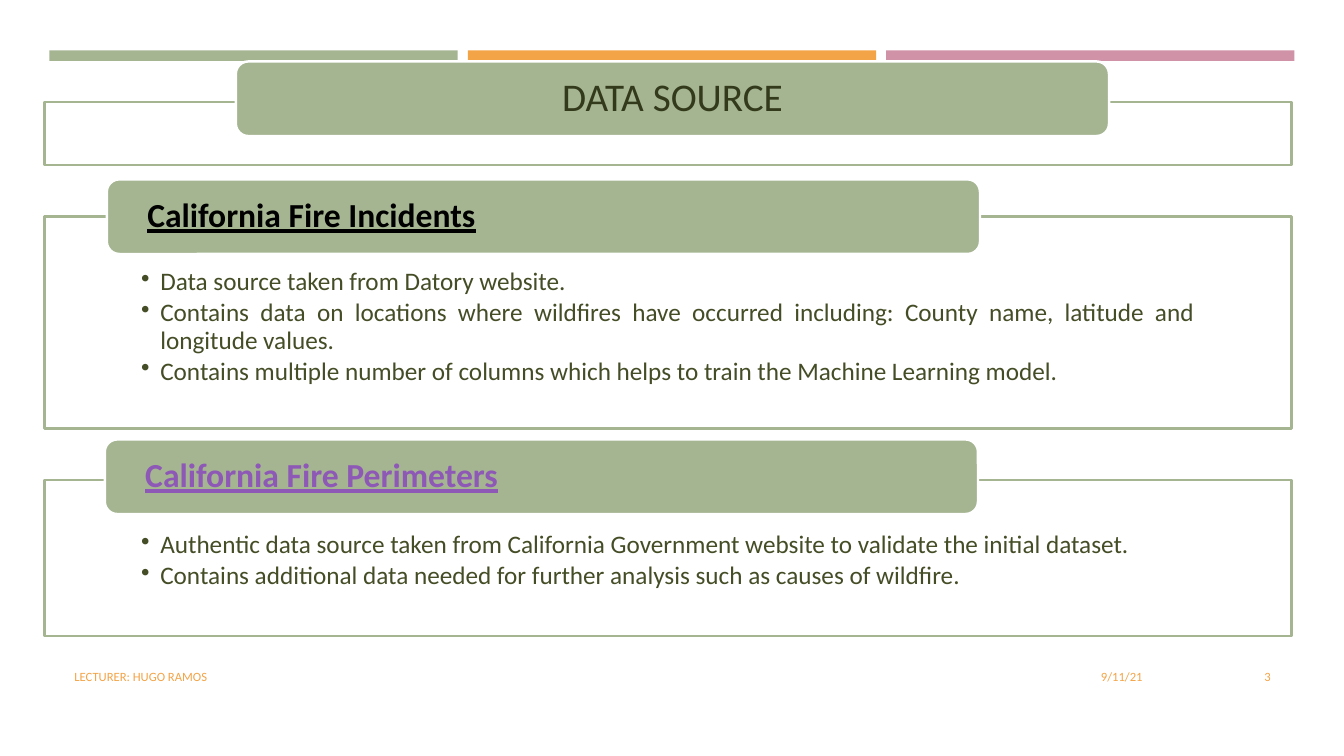
import pptx
import pptx.dml.color
import pptx.enum.shapes
import pptx.enum.text
import pptx.util
from lxml import etree

SHAPE = pptx.enum.shapes.MSO_SHAPE
ALIGN = pptx.enum.text.PP_ALIGN
ANCHOR = pptx.enum.text.MSO_ANCHOR
WIDE = pptx.util.Inches(13.33)
HIGH = pptx.util.Inches(7.5)
GREEN, ORANGE, PINK, WHITE = "A5B592", "F3A447", "D092A7", "FFFFFF"
DARK, OLIVE, BLACK, PURPLE = "333A1C", "444D26", "000000", "8E58B6"


def across(share):
    """Percent of the slide's width."""
    return int(WIDE * share / 100)


def down(share):
    """Percent of the slide's height."""
    return int(HIGH * share / 100)


def area(x, y, w, h):
    return across(x), down(y), across(w), down(h)


def color(code):
    return pptx.dml.color.RGBColor.from_string(code)


def add_box(slide, kind, place, fill, line=None):
    box = slide.shapes.add_shape(kind, *area(*place))
    box.shadow.inherit = False
    box.fill.solid()
    box.fill.fore_color.rgb = color(fill)
    if line:
        box.line.color.rgb = color(line)
        box.line.width = pptx.util.Pt(1.75)
    else:
        box.line.fill.background()
    return box


def style(para, size, ink, align, bold=False):
    para.alignment = align
    for run in para.runs:
        font = run.font
        font.name = "Calibri"
        font.size = pptx.util.Pt(size)
        font.color.rgb = color(ink)
        font.bold = font.underline = bold


def add_bullet(para):
    props = para._p.get_or_add_pPr()
    indent = across(1.43)
    props.set("marL", str(indent))
    props.set("indent", str(-indent))
    tag = "{http://schemas.openxmlformats.org/drawingml/2006/main}buChar"
    etree.SubElement(props, tag).set("char", "•")


def add_frame(slide, y, h, points=()):
    """Outlined panel with its bullet points."""
    box = add_box(slide, SHAPE.RECTANGLE, (3.3, y, 92.8, h), WHITE, GREEN)
    frame = box.text_frame
    frame.word_wrap = True
    frame.vertical_anchor = ANCHOR.TOP
    frame.margin_left = frame.margin_right = across(7.2)
    frame.margin_top, frame.margin_bottom = down(6.93), down(1.87)
    if not points:
        return
    frame.text = "\n".join(points)
    for para in frame.paragraphs:
        para.line_spacing = 0.9
        para.space_after = pptx.util.Pt(2.7)
        style(para, 18, OLIVE, ALIGN.JUSTIFY)
        add_bullet(para)


def add_tab(slide, x, y, text, size, ink, align, bold):
    """Rounded heading on the top edge of a panel."""
    place = (x, y, 64.97, 9.87)
    box = add_box(slide, SHAPE.ROUNDED_RECTANGLE, place, GREEN, WHITE)
    frame = box.text_frame
    frame.word_wrap = True
    frame.vertical_anchor = ANCHOR.MIDDLE
    frame.margin_left = frame.margin_right = across(2.74)
    frame.margin_top = frame.margin_bottom = 0
    frame.text = text
    para = frame.paragraphs[0]
    para.line_spacing = 0.9
    style(para, size, ink, align, bold)


def add_note(slide, x, w, text, align):
    """Small text in the footer row."""
    box = slide.shapes.add_textbox(*area(x, 86.8, w, 5.33))
    frame = box.text_frame
    frame.word_wrap = True
    frame.vertical_anchor = ANCHOR.MIDDLE
    frame.text = text
    style(frame.paragraphs[0], 9, ORANGE, align)


def main():
    deck = pptx.Presentation()
    deck.slide_width, deck.slide_height = WIDE, HIGH
    slide = deck.slides.add_slide(deck.slide_layouts[6])

    for i, fill in enumerate((GREEN, ORANGE, PINK)):
        place = (3.68 + 31.13 * i, 6.67, 30.38, 1.4)
        add_box(slide, SHAPE.RECTANGLE, place, fill)

    add_frame(slide, 13.47, 8.4)
    add_tab(slide, 17.55, 8.13, "DATA SOURCE", 28, DARK, ALIGN.CENTER, False)

    add_frame(slide, 28.67, 28, (
        "Data source taken from Datory website.",
        "Contains data on locations where wildfires have occurred "
        "including: County name, latitude and longitude values.",
        "Contains multiple number of columns which helps to train "
        "the Machine Learning model.",
    ))
    add_tab(slide, 7.95, 23.73, "California Fire Incidents",
            24, BLACK, ALIGN.JUSTIFY, True)

    add_frame(slide, 63.47, 20.67, (
        "Authentic data source taken from California Government "
        "website to validate the initial dataset.",
        "Contains additional data needed for further analysis "
        "such as causes of wildfire.",
    ))
    add_tab(slide, 7.8, 58.13, "California Fire Perimeters",
            24, PURPLE, ALIGN.JUSTIFY, True)

    add_note(slide, 62.42, 23.33, "9/11/21", ALIGN.RIGHT)
    add_note(slide, 4.8, 56.71, "LECTURER: HUGO RAMOS", ALIGN.LEFT)
    add_note(slide, 86.65, 8.63, "3", ALIGN.RIGHT)
    deck.save("out.pptx")


if __name__ == "__main__":
    main()
